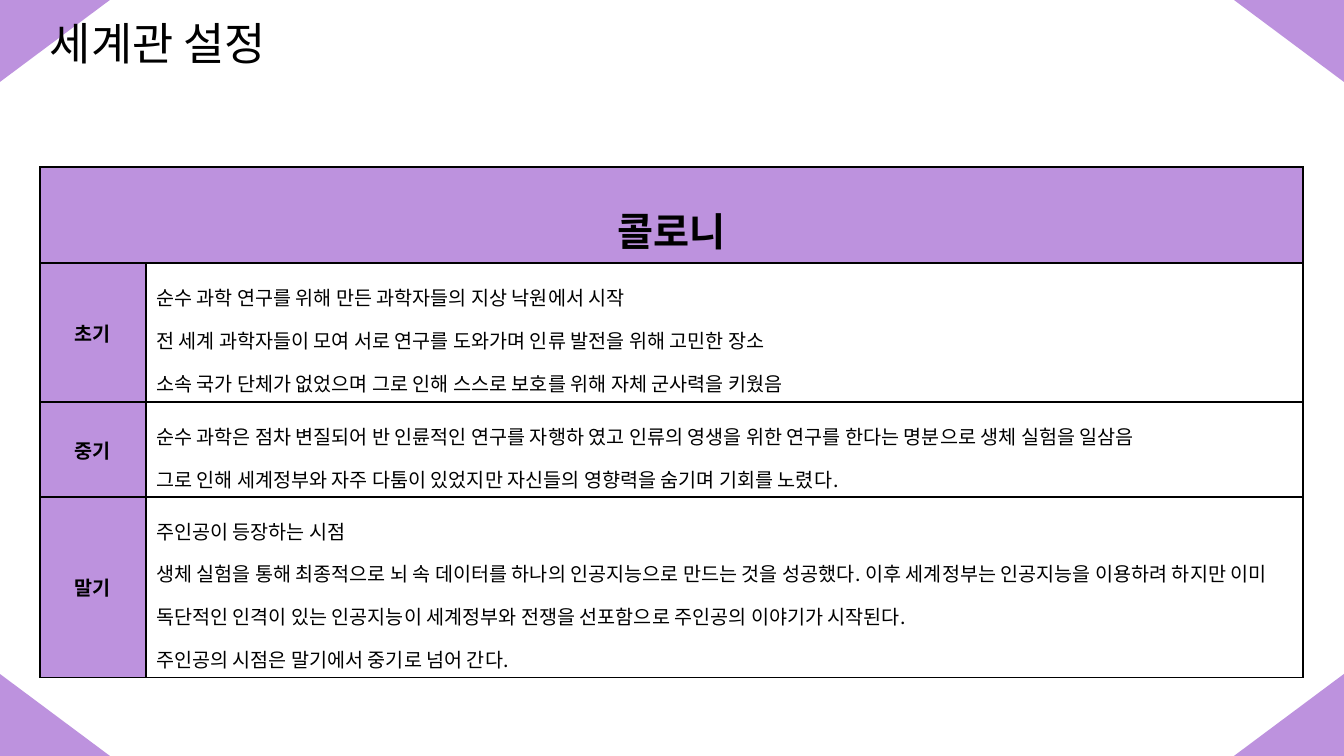
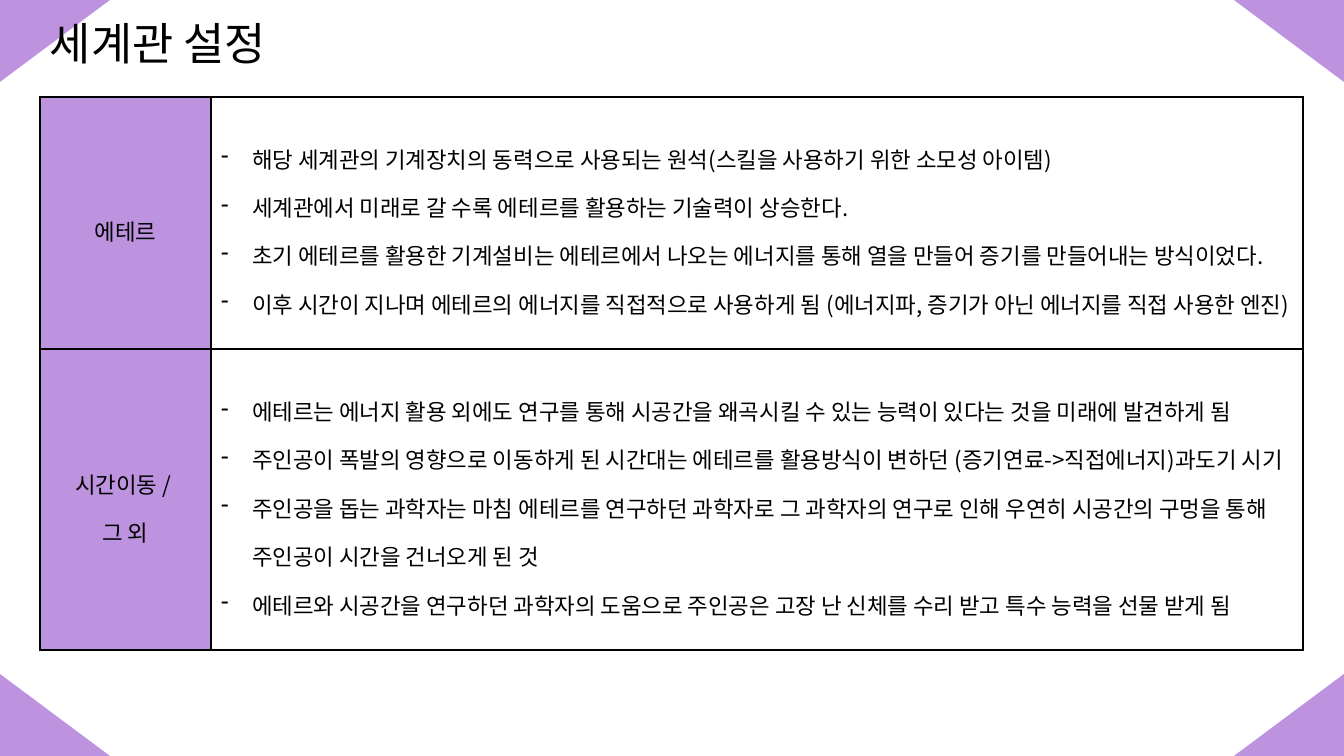
from lxml import etree
from pptx import Presentation
from pptx import util as u
from pptx.dml import color
from pptx.enum import shapes, text
from pptx.oxml import ns

PX = 914400 / 100.8
WIDTH, HEIGHT = 1344, 756
FONT = "Noto Sans CJK KR"
COLORS = {"lilac": "BD92DE", "ink": "000000", "paper": "FFFFFF"}

COLONY = [
    ("초기", [
        "순수 과학 연구를 위해 만든 과학자들의 지상 낙원에서 시작",
        "전 세계 과학자들이 모여 서로 연구를 도와가며 인류 발전을 위해 고민한 장소",
        "소속 국가 단체가 없었으며 그로 인해 스스로 보호를 위해 자체 군사력을 키웠음",
    ]),
    ("중기", [
        "순수 과학은 점차 변질되어 반 인륜적인 연구를 자행하 였고 인류의 영생을 위한 연구를 "
        "한다는 명분으로 생체 실험을 일삼음",
        "그로 인해 세계정부와 자주 다툼이 있었지만 자신들의 영향력을 숨기며 기회를 노렸다.",
    ]),
    ("말기", [
        "주인공이 등장하는 시점",
        "생체 실험을 통해 최종적으로 뇌 속 데이터를 하나의 인공지능으로 만드는 것을 성공했다. "
        "이후 세계정부는 인공지능을 이용하려 하지만 이미 독단적인 인격이 있는 인공지능이 "
        "세계정부와 전쟁을 선포함으로 주인공의 이야기가 시작된다.",
        "주인공의 시점은 말기에서 중기로 넘어 간다.",
    ]),
]
AETHER = [
    ("에테르", [
        "해당 세계관의 기계장치의 동력으로 사용되는 원석(스킬을 사용하기 위한 소모성 아이템)",
        "세계관에서 미래로 갈 수록 에테르를 활용하는 기술력이 상승한다.",
        "초기 에테르를 활용한 기계설비는 에테르에서 나오는 에너지를 통해 열을 만들어 증기를 "
        "만들어내는 방식이었다.",
        "이후 시간이 지나며 에테르의 에너지를 직접적으로 사용하게 됨 (에너지파, 증기가 아닌 "
        "에너지를 직접 사용한 엔진)",
    ]),
    ("시간이동 / \n그 외", [
        "에테르는 에너지 활용 외에도 연구를 통해 시공간을 왜곡시킬 수 있는 능력이 있다는 것을 "
        "미래에 발견하게 됨",
        "주인공이 폭발의 영향으로 이동하게 된 시간대는 에테르를 활용방식이 변하던 "
        "(증기연료->직접에너지)과도기 시기",
        "주인공을 돕는 과학자는 마침 에테르를 연구하던 과학자로 그 과학자의 연구로 인해 우연히 "
        "시공간의 구멍을 통해 주인공이 시간을 건너오게 된 것",
        "에테르와 시공간을 연구하던 과학자의 도움으로 주인공은 고장 난 신체를 수리 받고 특수 "
        "능력을 선물 받게 됨",
    ]),
]


def px(*values):
    return [u.Emu(round(value * PX)) for value in values]


def rgb(name):
    return color.RGBColor.from_string(COLORS[name])


def add_run(paragraph, words, size, bold=False):
    run = paragraph.add_run()
    run.text = words
    run.font.size, run.font.bold = u.Pt(size), bold
    run.font.color.rgb = rgb("ink")
    run.font.name = FONT
    latin = run.font._element.find(ns.qn("a:latin"))
    east_asian = etree.Element(ns.qn("a:ea"), typeface=FONT)
    latin.addnext(east_asian)


def add_dash(paragraph, indent):
    properties = paragraph._p.get_or_add_pPr()
    properties.set("marL", str(indent))
    properties.set("indent", str(-indent))
    etree.SubElement(properties, ns.qn("a:buChar"), char="-")


def write(frame, paragraphs, size, bold=False, align=None, spacing=1.5, dashes=False):
    for index, words in enumerate(paragraphs):
        paragraph = frame.add_paragraph() if index else frame.paragraphs[0]
        if dashes:
            add_dash(paragraph, px(31)[0])
        paragraph.alignment = align
        paragraph.line_spacing = spacing
        for number, line in enumerate(words.split("\n")):
            if number:
                paragraph.add_line_break()
            add_run(paragraph, line, size, bold)


def style_cell(cell, fill):
    cell.vertical_anchor = text.MSO_ANCHOR.MIDDLE
    properties = cell._tc.get_or_add_tcPr()
    for side in ("lnL", "lnR", "lnT", "lnB"):
        line = etree.SubElement(properties, ns.qn("a:" + side), w=str(u.Pt(1)))
        solid = etree.SubElement(line, ns.qn("a:solidFill"))
        etree.SubElement(solid, ns.qn("a:srgbClr"), val=COLORS["ink"])
    cell.fill.solid()
    cell.fill.fore_color.rgb = rgb(fill)


def add_corners(slide, width=110, height=82):
    for right in (False, True):
        for top in (False, True):
            box = ((WIDTH - width) * right, (HEIGHT - height) * (not top), width, height)
            shape = slide.shapes.add_shape(shapes.MSO_SHAPE.RIGHT_TRIANGLE, *px(*box))
            shape.shadow.inherit = False
            shape.fill.solid()
            shape.fill.fore_color.rgb = rgb("lilac")
            shape.line.fill.background()
            transform = shape._element.spPr.find(ns.qn("a:xfrm"))
            transform.set("flipH", str(int(right)))
            transform.set("flipV", str(int(top)))


def add_title(slide, words, box):
    frame = slide.shapes.add_textbox(*px(*box)).text_frame
    frame.word_wrap = True
    write(frame, [words], 32, spacing=0.9)


def add_periods(slide, box, label_width, heights, rows, size,
                heading=None, bold_labels=False, label_spacing=1.5, dashes=False):
    """Table with a coloured label column and an optional merged heading row."""
    left, top, width = box
    table = slide.shapes.add_table(
        len(heights), 2, *px(left, top, width, sum(heights))).table
    table.first_row = table.horz_banding = False
    for column, column_width in zip(table.columns, px(label_width, width - label_width)):
        column.width = column_width
    for row, height in zip(table.rows, px(*heights)):
        row.height = height
        style_cell(row.cells[0], "lilac")
        style_cell(row.cells[1], "paper")

    # Heading
    center = text.PP_ALIGN.CENTER
    if heading:
        cell = table.cell(0, 0)
        cell.merge(table.cell(0, 1))
        write(cell.text_frame, [heading], 28, True, center)

    # Labels and descriptions
    for index, (label, lines) in enumerate(rows, start=1 if heading else 0):
        write(table.cell(index, 0).text_frame, [label], size, bold_labels, center,
              label_spacing)
        write(table.cell(index, 1).text_frame, lines, size, dashes=dashes)


def add_world_slide(presentation, **periods):
    slide = presentation.slides.add_slide(presentation.slide_layouts[6])
    add_corners(slide)
    add_title(slide, "세계관 설정", (40, 17, 1159, 79))
    add_periods(slide, **periods)


def main():
    presentation = Presentation()
    presentation.slide_width, presentation.slide_height = px(WIDTH, HEIGHT)
    add_world_slide(presentation, box=(40, 167, 1263), label_width=106,
                    heights=[96, 139, 95, 181], rows=COLONY, size=14,
                    heading="콜로니", bold_labels=True, label_spacing=1)
    add_world_slide(presentation, box=(40, 97, 1263), label_width=171,
                    heights=[252, 301], rows=AETHER, size=16, dashes=True)
    presentation.save("out.pptx")


if __name__ == "__main__":
    main()
